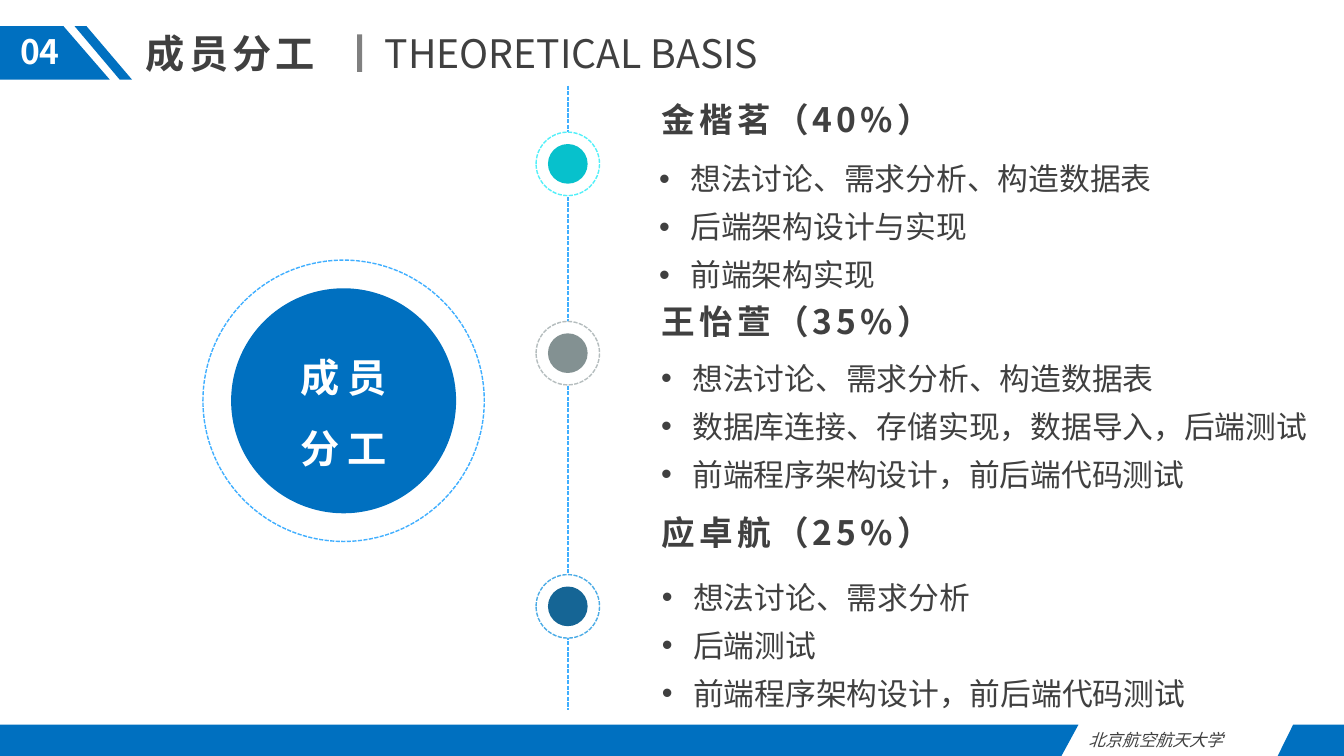
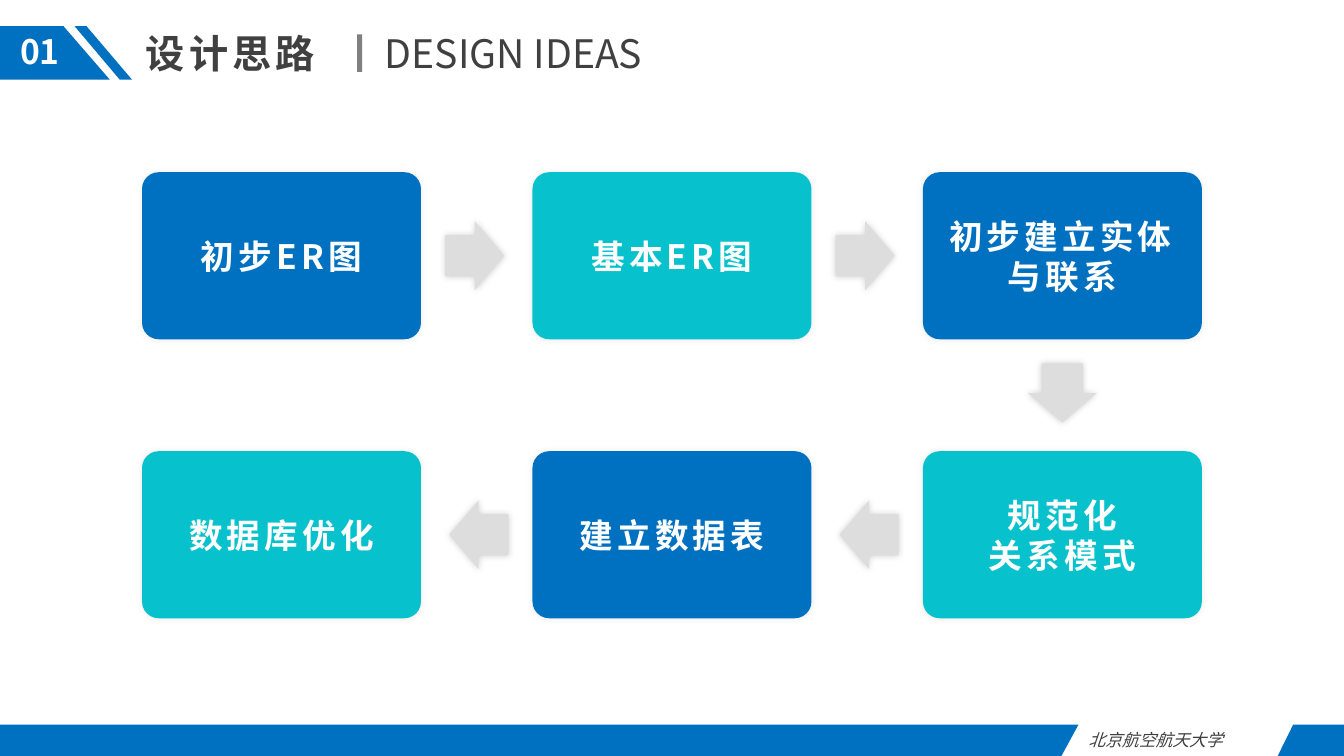
from dataclasses import dataclass

from lxml.etree import SubElement
from pptx import Presentation
from pptx.dml.color import RGBColor
from pptx.enum.dml import MSO_LINE
from pptx.enum.shapes import MSO_CONNECTOR, MSO_SHAPE
from pptx.enum.text import MSO_ANCHOR, PP_ALIGN
from pptx.oxml.ns import qn
from pptx.util import Cm, Pt


@dataclass(frozen=True)
class Theme:
    blue: str = "0070C0"
    teal: str = "07C1CC"
    sky: str = "40AFFF"
    ink: str = "404040"
    grey: str = "808080"
    pale: str = "DDDDDD"
    white: str = "FFFFFF"
    black: str = "000000"
    font: str = "Noto Sans CJK SC"
    body_font: str = "Arial"
    title: int = 28
    heading: int = 24
    body: int = 22
    footer: int = 12


T = Theme()
W, H = 33.87, 19.05

# Content: positions in centimetres
FOOTER = "北京航空航天大学"
MEMBERS_TITLE = ("04", "成员分工", "THEORETICAL BASIS")
IDEAS_TITLE = ("01", "设计思路", "DESIGN IDEAS")
HUB = ["成员", "分工"]
MEMBERS = [
    dict(name="金楷茗（40%）", top=2.36, list_at=(16.36, 3.63), node=4.13,
         ring="52F0F9", dot=T.teal,
         tasks=["想法讨论、需求分析、构造数据表", "后端架构设计与实现", "前端架构实现"]),
    dict(name="王怡萱（35%）", top=7.47, list_at=(16.41, 8.66), node=8.9,
         ring="B5BDBE", dot="839192",
         tasks=["想法讨论、需求分析、构造数据表",
                "数据库连接、存储实现，数据导入，后端测试",
                "前端程序架构设计，前后端代码测试"]),
    dict(name="应卓航（25%）", top=12.78, list_at=(16.43, 14.17), node=15.28,
         ring="4CACE6", dot="156595",
         tasks=["想法讨论、需求分析", "后端测试", "前端程序架构设计，前后端代码测试"]),
]
# Steps with their column and row
STEPS = [
    (["初步ER图"], 0, 0), (["基本ER图"], 1, 0), (["初步建立实体与联系"], 2, 0),
    (["规范化", "关系模式"], 2, 1), (["建立数据表"], 1, 1), (["数据库优化"], 0, 1),
]

# Outlines shared by all slides
BAND_TOP = 18.26
BANDS = [
    [(0, 0.66), (1.6, 0.66), (2.77, 2.01), (0, 2.01)],
    [(2.18, 0.66), (3.33, 2.01), (3.02, 2.01), (1.88, 0.66)],
    [(0, BAND_TOP), (27.18, BAND_TOP), (26.75, H), (0, H)],
    [(32.59, BAND_TOP), (W, BAND_TOP), (W, H), (32.2, H)],
]


# Drawing helpers
def rgb(value):
    return RGBColor.from_string(value)


def write(tf, lines, size, color=T.ink, font=T.font, align=PP_ALIGN.LEFT,
          spacing=None, tracking=0, bullet=False, **style):
    tf.word_wrap = True
    for i, line in enumerate(lines):
        p = tf.paragraphs[0] if i == 0 else tf.add_paragraph()
        if bullet:
            pPr = p._p.get_or_add_pPr()
            pPr.set("marL", str(Cm(0.79)))
            pPr.set("indent", str(-Cm(0.79)))
            SubElement(pPr, qn("a:buFont")).set("typeface", T.body_font)
            SubElement(pPr, qn("a:buChar")).set("char", "•")
        p.alignment = align
        if spacing:
            p.line_spacing = spacing
        r = p.add_run()
        r.text = line
        r.font.color.rgb = rgb(color)
        for name, value in dict(size=Pt(size), name=font, **style).items():
            setattr(r.font, name, value)
        rPr = r._r.get_or_add_rPr()
        SubElement(rPr, qn("a:ea")).set("typeface", T.font)
        if tracking:
            rPr.set("spc", str(tracking * 100))


def add_text(s, box, lines, size, **style):
    tb = s.shapes.add_textbox(*map(Cm, box))
    write(tb.text_frame, lines, size, **style)


def paint(sp, fill, line=None):
    sp.shadow.inherit = False
    sp.fill.solid()
    sp.fill.fore_color.rgb = rgb(fill)
    if line:
        dash(sp.line, line)
    else:
        sp.line.fill.background()
    return sp


def dash(line, color):
    line.color.rgb = rgb(color)
    line.width = Pt(1)
    line.dash_style = MSO_LINE.SQUARE_DOT


def add_shape(s, kind, box, fill, line=None):
    return paint(s.shapes.add_shape(kind, *map(Cm, box)), fill, line)


def add_circle(s, x, y, d, fill, line=None):
    return add_shape(s, MSO_SHAPE.OVAL, (x - d / 2, y - d / 2, d, d), fill, line)


def glow(sp, opacity):
    effects = sp._element.spPr.find(qn("a:effectLst"))
    shadow = SubElement(effects, qn("a:outerShdw"))
    for name, value in dict(blurRad=Pt(5), dist=0, dir=0, algn="ctr", rotWithShape=0).items():
        shadow.set(name, str(value))
    color = SubElement(shadow, qn("a:srgbClr"))
    color.set("val", T.black)
    SubElement(color, qn("a:alpha")).set("val", str(opacity * 1000))


# Slide frame: title, number tab and footer
def new_slide(prs, number, title, subtitle):
    s = prs.slides.add_slide(prs.slide_layouts[6])
    for outline in BANDS:
        points = [(Cm(x), Cm(y)) for x, y in outline]
        builder = s.shapes.build_freeform(*points[0])
        builder.add_line_segments(points[1:], close=True)
        paint(builder.convert_to_shape(), T.blue)
    add_text(s, (0, 0.66, 2.01, 1.27), [number], T.heading, color=T.white,
             align=PP_ALIGN.CENTER, bold=True)
    add_text(s, (3.43, 0.61, 4.98, 1.45), [title], T.title, bold=True, tracking=3)
    add_shape(s, MSO_SHAPE.RECTANGLE, (9, 0.87, 0.13, 0.94), T.grey)
    add_text(s, (9.45, 0.61, 12, 1.45), [subtitle], T.title)
    add_text(s, (27.18, BAND_TOP, 5.03, 0.76), [FOOTER], T.footer,
             align=PP_ALIGN.JUSTIFY, italic=True)
    return s


def members_slide(prs):
    s = new_slide(prs, *MEMBERS_TITLE)
    axis = 14.31

    # Timeline
    line = s.shapes.add_connector(MSO_CONNECTOR.STRAIGHT, Cm(axis), Cm(2.16),
                                  Cm(axis), Cm(17.88))
    dash(line.line, T.sky)
    SubElement(line._element.spPr, qn("a:effectLst"))

    # Hub
    hub_x, hub_y = 8.66, 10.1
    add_circle(s, hub_x, hub_y, 7.09, T.white, T.sky)
    tf = add_circle(s, hub_x, hub_y, 5.67, T.blue).text_frame
    tf.vertical_anchor = MSO_ANCHOR.MIDDLE
    for side in ("left", "right", "top", "bottom"):
        setattr(tf, f"margin_{side}", 0)
    write(tf, HUB, T.title, color=T.white, align=PP_ALIGN.CENTER,
          spacing=1.5, tracking=6, bold=True)

    # Members
    for m in MEMBERS:
        add_circle(s, axis, m["node"], 1.6, T.white, m["ring"])
        add_circle(s, axis, m["node"], 1, m["dot"])
        add_text(s, (13.53, m["top"], 13.08, 1.27), [m["name"]], T.heading,
                 align=PP_ALIGN.CENTER, tracking=3, bold=True)
        add_text(s, (*m["list_at"], 17.2, 3.91), m["tasks"], T.body,
                 font=T.body_font, spacing=1.3, bullet=True)


def ideas_slide(prs):
    s = new_slide(prs, *IDEAS_TITLE)
    left, top, w, h = 3.58, 4.34, 7.03, 4.21
    pitch_x, pitch_y = 9.84, 7.03
    gap, length, breadth = 0.61, 1.49, 1.74
    arrows = {(1, 0): MSO_SHAPE.RIGHT_ARROW, (-1, 0): MSO_SHAPE.LEFT_ARROW,
              (0, 1): MSO_SHAPE.DOWN_ARROW}

    for i, (lines, col, row) in enumerate(STEPS):
        x, y = left + col * pitch_x, top + row * pitch_y
        sp = add_shape(s, MSO_SHAPE.ROUNDED_RECTANGLE, (x, y, w, h),
                       T.teal if i % 2 else T.blue)
        sp.adjustments[0] = 0.1
        glow(sp, 8)
        sp.text_frame.vertical_anchor = MSO_ANCHOR.MIDDLE
        write(sp.text_frame, lines, T.heading, color=T.white,
              align=PP_ALIGN.CENTER, tracking=3, bold=True)

        # Arrow to the next step
        if i + 1 < len(STEPS):
            dx, dy = STEPS[i + 1][1] - col, STEPS[i + 1][2] - row
            aw, ah = (length, breadth) if dx else (breadth, length)
            ax = x + w / 2 + dx * (w / 2 + gap + aw / 2) - aw / 2
            ay = y + h / 2 + dy * (h / 2 + gap + ah / 2) - ah / 2
            arrow = add_shape(s, arrows[dx, dy], (ax, ay, aw, ah), T.pale)
            arrow.adjustments[0] = 0.6
            glow(arrow, 18)


def main():
    prs = Presentation()
    prs.slide_width, prs.slide_height = Cm(W), Cm(H)
    members_slide(prs)
    ideas_slide(prs)
    prs.save("out.pptx")


if __name__ == "__main__":
    main()
